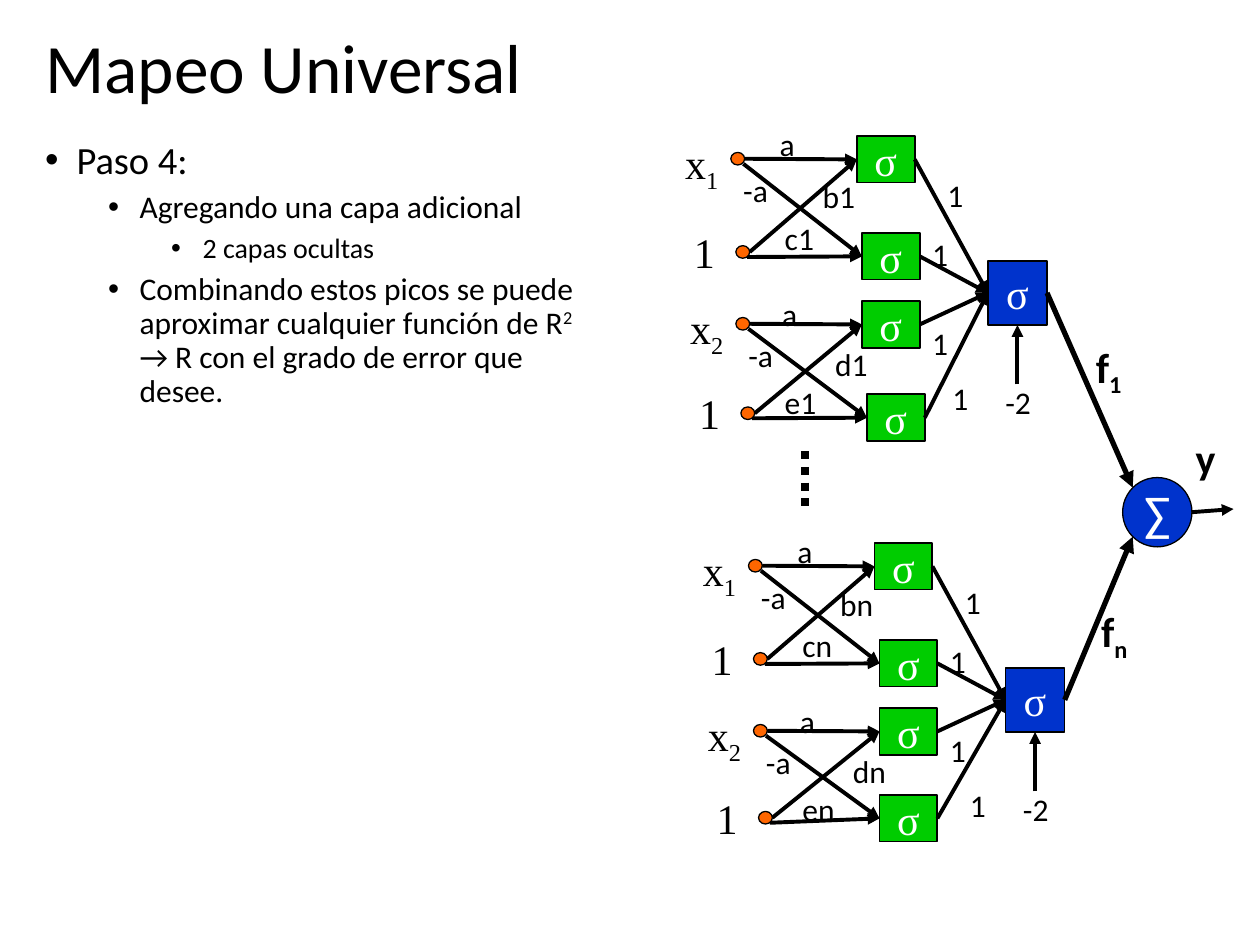
import pptx
import pptx.dml.color
import pptx.enum.dml
import pptx.enum.shapes
import pptx.enum.text
import pptx.oxml.ns
import pptx.util
from dataclasses import dataclass
from lxml import etree

In, Pt = pptx.util.Inches, pptx.util.Pt
SHAPE = pptx.enum.shapes.MSO_SHAPE
ALIGN = pptx.enum.text.PP_ALIGN
ANCHOR = pptx.enum.text.MSO_ANCHOR
qn = pptx.oxml.ns.qn


@dataclass(frozen=True)
class Theme:
    ink: str = "000000"
    white: str = "FFFFFF"
    unit: str = "00CC00"
    output: str = "0033CC"
    source: str = "FF6600"
    sans: str = "Calibri"
    serif: str = "Times New Roman"
    title: float = 39.6
    levels: tuple = (22, 18, 16)
    symbol: int = 24
    weight: int = 18
    total: int = 28


T = Theme()
SUB, SUP = -25000, 30000
NARROW = {"-": 0.5, "f": 0.75}  # share of a usual letter's width

TITLE = "Mapeo Universal"
BODY = [  # level, runs of (text, baseline)
    (0, [("Paso 4:", 0)]),
    (1, [("Agregando una capa adicional", 0)]),
    (2, [("2 capas ocultas", 0)]),
    (1, [("Combinando estos picos se puede aproximar cualquier función de R", 0),
         ("2 ", SUP), ("→ R con el grado de error que desee.", 0)]),
]

# Each network: origin, then per input pair the distance between its two
# sources, the offset of its second unit, and its two bias names.
NETWORKS = [
    ((5.80, 1.21), [(0.74, (1.04, 0.64), "b1", "c1"),
                    (0.71, (1.04, 0.61), "d1", "e1")]),
    ((5.94, 4.44), [(0.74, (1.04, 0.64), "bn", "cn"),
                    (0.69, (1.00, 0.56), "dn", "en")]),
]
PAIR_STEP = (0.04, 1.31)
# Offsets of the labels a, first bias, second bias, -a, 1, 1 in each pair
WEIGHT_OFFSETS = [
    [(0.29, -0.27), (0.63, 0.15), (0.33, 0.48), (0, 0.10), (1.62, 0.14), (1.50, 0.61)],
    [(0.27, -0.23), (0.69, 0.17), (0.29, 0.47), (0, 0.10), (1.46, 0), (1.62, 0.44)],
]
UNIT, OUTPUT, DOT = (0.46, 0.37), (0.47, 0.51), (0.11, 0.10)
UNIT_OFFSET, OUTPUT_OFFSET = (1.00, -0.13), (2.04, 0.86)
SUM_AT, SUM_SIZE = (8.91, 3.79), (0.55, 0.55)
SUM_INPUTS = [(8.99, 3.87), (8.99, 4.26)]
OUTPUT_NAMES = [("1", (8.60, 2.66)), ("n", (8.64, 4.76))]


def rgb(color):
    return pptx.dml.color.RGBColor.from_string(color)


def shift(point, offset):
    return point[0] + offset[0], point[1] + offset[1]


def left_mid(at, extent):
    return shift(at, (0, extent[1] / 2))


def right_mid(at, extent):
    return shift(at, (extent[0], extent[1] / 2))


def add_run(p, text, size, font=T.sans, color=T.ink, bold=False, baseline=0):
    r = p.add_run()
    r.text = text
    r.font.size, r.font.name, r.font.bold = Pt(size), font, bold
    r.font.color.rgb = rgb(color)
    if baseline:
        r._r.get_or_add_rPr().set("baseline", str(baseline))


def add_node(s, kind, at, extent, fill, line=1, text="", **font):
    sp = s.shapes.add_shape(kind, *map(In, at + extent))
    sp.shadow.inherit = False
    sp.fill.solid()
    sp.fill.fore_color.rgb = rgb(fill)
    sp.line.color.rgb, sp.line.width = rgb(T.ink), Pt(line)
    if text:
        tf = sp.text_frame
        tf.word_wrap, tf.vertical_anchor = False, ANCHOR.MIDDLE
        tf.paragraphs[0].alignment = ALIGN.CENTER
        add_run(tf.paragraphs[0], text, color=T.white, **font)


def add_sigma(s, at, extent, fill):
    add_node(s, SHAPE.RECTANGLE, at, extent, fill, text="σ", size=T.symbol, font=T.serif)


def add_label(s, at, size, text, sub="", **font):
    letters = sum(NARROW.get(c, 1) for c in text) + len(sub) / 2
    box = (0.2 + 0.008 * size * letters, 0.4 if size < T.symbol else 0.5)
    tf = s.shapes.add_textbox(*map(In, at + box)).text_frame
    tf.word_wrap = False
    tf.auto_size = pptx.enum.text.MSO_AUTO_SIZE.SHAPE_TO_FIT_TEXT
    add_run(tf.paragraphs[0], text, size, **font)
    if sub:
        add_run(tf.paragraphs[0], sub, size, baseline=SUB, **font)


def add_line(s, start, end, width=2.25, arrow=True):
    cn = s.shapes.add_connector(pptx.enum.shapes.MSO_CONNECTOR.STRAIGHT, *map(In, start + end))
    cn.line.color.rgb, cn.line.width = rgb(T.ink), Pt(width)
    if arrow:
        etree.SubElement(cn.line._get_or_add_ln(), qn("a:tailEnd"), type="triangle")
    else:
        cn.line.dash_style = pptx.enum.dml.MSO_LINE.ROUND_DOT
    etree.SubElement(cn._element.spPr, qn("a:effectLst"))


def add_pair(s, origin, number, target, pair):
    """Draw one input with its bias, their two units and the links to target."""
    gap, second, *biases = pair
    dots = [origin, shift(origin, (0.04, gap))]
    units = [shift(origin, UNIT_OFFSET), shift(origin, second)]
    ends = [left_mid(at, UNIT) for at in units]
    for at in units:
        add_sigma(s, at, UNIT, T.unit)
    # Links leave the dots from their side or lower edge
    for dot, end, exit_at in [(0, 0, (0.11, 0.05)), (0, 1, (0.10, 0.09)),
                              (1, 0, (0.11, 0.05)), (1, 1, (0.09, 0.09))]:
        add_line(s, shift(dots[dot], exit_at), ends[end])
    for at in units:
        add_line(s, right_mid(at, UNIT), target)
    for at in dots:
        add_node(s, SHAPE.OVAL, at, DOT, T.source, line=0.75)
    add_label(s, shift(dots[0], (-0.46, -0.17)), T.symbol, "x", str(number + 1), font=T.serif)
    add_label(s, shift(dots[1], (-0.43, -0.20)), T.symbol, "1", font=T.serif)
    for text, offset in zip(["a", *biases, "-a", "1", "1"], WEIGHT_OFFSETS[number]):
        add_label(s, shift(origin, offset), T.weight, text)


def add_network(s, origin, pairs, sum_input):
    out = shift(origin, OUTPUT_OFFSET)
    add_sigma(s, out, OUTPUT, T.output)
    for i, pair in enumerate(pairs):
        at = shift(origin, (i * PAIR_STEP[0], i * PAIR_STEP[1]))
        add_pair(s, at, i, left_mid(out, OUTPUT), pair)
    middle = OUTPUT[0] / 2
    add_line(s, shift(out, (middle, 0.98)), shift(out, (middle, OUTPUT[1])))
    add_label(s, shift(out, (0.04, 0.92)), T.weight, "-2")
    add_line(s, right_mid(out, OUTPUT), sum_input, width=3)


def add_body(s):
    tf = s.shapes.add_textbox(*map(In, (0.26, 1.07, 4.64, 5.83))).text_frame
    tf.word_wrap = True
    for i, (level, runs) in enumerate(BODY):
        p = tf.add_paragraph() if i else tf.paragraphs[0]
        p.level, p.line_spacing = level, 0.9
        if i:
            p.space_before = Pt(5)
        pPr = p._p.get_or_add_pPr()
        pPr.set("marL", str(In(0.25 + 0.5 * level)))
        pPr.set("indent", str(In(-0.25)))
        etree.SubElement(pPr, qn("a:buFont"), typeface="Arial")
        etree.SubElement(pPr, qn("a:buChar"), char="•")
        for text, baseline in runs:
            add_run(p, text, T.levels[level], baseline=baseline)


def main():
    prs = pptx.Presentation()
    prs.slide_width, prs.slide_height = In(10), In(7.5)
    s = prs.slides.add_slide(prs.slide_layouts[5])

    title = s.shapes.title
    title.left, title.top, title.width, title.height = map(In, (0.26, 0.21, 9.45, 0.7))
    title.text_frame.vertical_anchor = ANCHOR.MIDDLE
    p = title.text_frame.paragraphs[0]
    p.alignment, p.line_spacing = ALIGN.LEFT, 0.9
    add_run(p, TITLE, T.title)

    add_body(s)
    for (origin, pairs), sum_input in zip(NETWORKS, SUM_INPUTS):
        add_network(s, origin, pairs, sum_input)
    add_line(s, (6.39, 3.58), (6.39, 4.04), width=4.5, arrow=False)

    add_node(s, SHAPE.OVAL, SUM_AT, SUM_SIZE, T.output, line=0.75, text="∑", size=T.total)
    add_line(s, right_mid(SUM_AT, SUM_SIZE), (9.79, 4.04))
    add_label(s, (9.39, 3.38), T.symbol, "y", bold=True)
    for sub, at in OUTPUT_NAMES:
        add_label(s, at, T.symbol, "f", sub, bold=True)
    prs.save("out.pptx")


if __name__ == "__main__":
    main()
